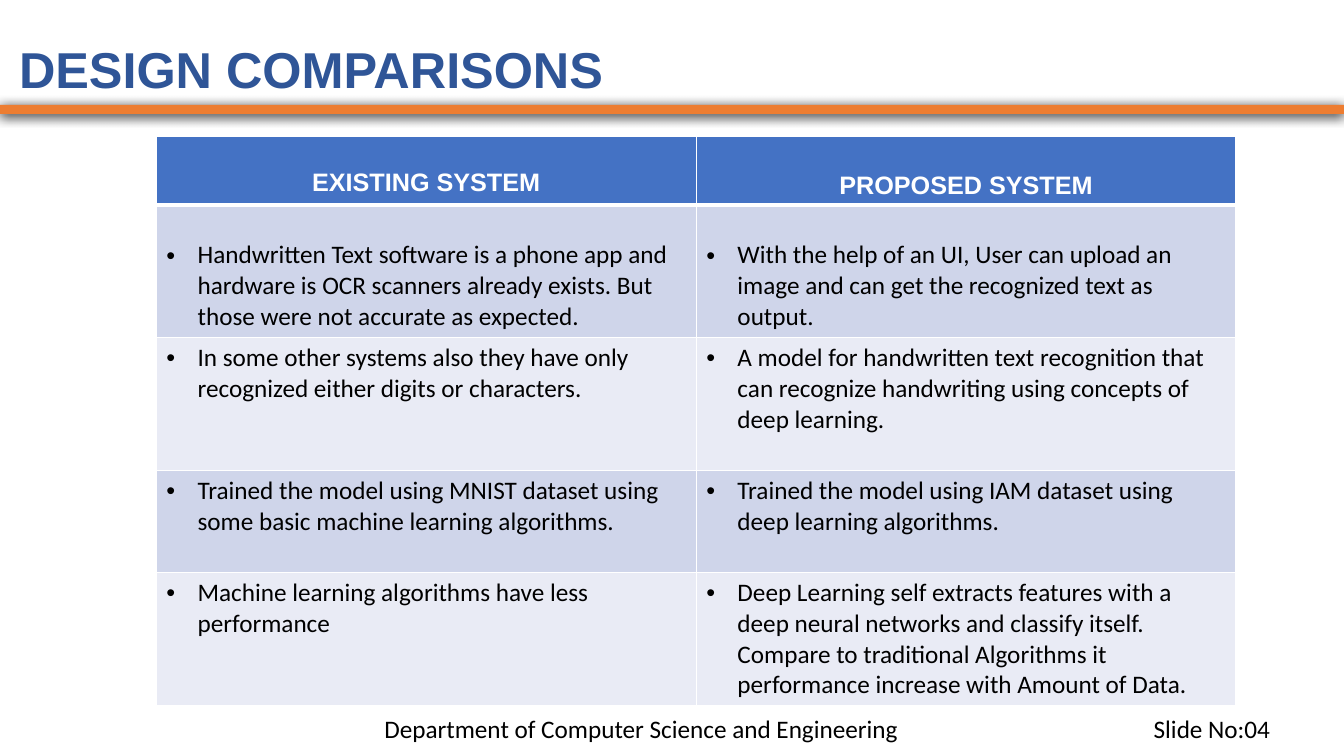
from dataclasses import dataclass

from lxml.etree import SubElement
from pptx import Presentation
from pptx.dml.color import RGBColor
from pptx.enum.shapes import MSO_SHAPE
from pptx.enum.text import MSO_ANCHOR, PP_ALIGN
from pptx.oxml import parse_xml
from pptx.oxml.ns import nsdecls, qn
from pptx.util import Inches, Pt


@dataclass
class Label:
    text: str
    left: float
    top: float
    width: float
    height: float
    size: int = 18
    font: str = "Calibri"
    color: str = "000000"
    bold: bool = False
    align: PP_ALIGN = PP_ALIGN.CENTER
    anchor: MSO_ANCHOR = MSO_ANCHOR.TOP
    spacing: float = 1.0


@dataclass
class Row:
    height: float
    fill: str
    texts: tuple[str, str]
    tops: tuple[float, float] = (0.05, 0.05)
    head: bool = False


LABELS = [
    Label("DESIGN COMPARISONS", 0.09, 0.19, 6.58, 0.85, 36, "Arial", "2F5597", True,
          PP_ALIGN.LEFT, MSO_ANCHOR.BOTTOM, 0.9),
    Label("Department of Computer Science and Engineering", 3.6, 7.03, 5.52, 0.4),
    Label("Slide No:04", 11.22, 7.03, 1.6, 0.4),
]

ROWS = [
    Row(0.68, "4472C4", ("EXISTING SYSTEM", "PROPOSED SYSTEM"), (0.32, 0.35), True),
    Row(1.32, "CFD5EA", (
        "Handwritten Text software is a phone app and hardware is OCR scanners "
        "already exists. But those were not accurate as expected.",
        "With the help of an UI, User can upload an image and can get the "
        "recognized text as output."), (0.35, 0.35)),
    Row(1.32, "E9EBF5", (
        "In some other systems also they have only recognized either digits or characters.",
        "A model for handwritten text recognition that can recognize handwriting "
        "using concepts of deep learning.")),
    Row(1.01, "CFD5EA", (
        "Trained the model using MNIST dataset using some basic machine learning algorithms.",
        "Trained the model using IAM dataset using deep learning algorithms.")),
    Row(1.32, "E9EBF5", (
        "Machine learning algorithms have less performance",
        "Deep Learning self extracts features with a deep neural networks and "
        "classify itself. Compare to traditional Algorithms it performance "
        "increase with Amount of Data.")),
]


def color(code: str) -> RGBColor:
    return RGBColor.from_string(code)


def style(para, size: int, font: str, code: str, bold: bool) -> None:
    for run in para.runs:
        run.font.size = Pt(size)
        run.font.name = font
        run.font.bold = bold
        run.font.color.rgb = color(code)


def add_label(slide, label: Label) -> None:
    box = slide.shapes.add_textbox(Inches(label.left), Inches(label.top),
                                   Inches(label.width), Inches(label.height))
    frame = box.text_frame
    frame.word_wrap = True
    frame.vertical_anchor = label.anchor
    frame.text = label.text
    para = frame.paragraphs[0]
    para.alignment = label.align
    para.line_spacing = label.spacing
    style(para, label.size, label.font, label.color, label.bold)


def add_bar(slide) -> None:
    bar = slide.shapes.add_shape(MSO_SHAPE.RECTANGLE, 0, Inches(1.04),
                                 Inches(13.33), Inches(0.09))
    bar.fill.solid()
    bar.fill.fore_color.rgb = color("ED7D31")
    bar.line.fill.background()
    bar.shadow.inherit = False
    glow = bar.element.spPr.find(qn("a:effectLst"))
    shade = SubElement(glow, qn("a:outerShdw"), blurRad=str(Pt(8.5)),
                       dist=str(Pt(1)), dir="5400000", algn="t", rotWithShape="0")
    SubElement(shade, qn("a:srgbClr"), val="000000")


def add_edges(cell, top: int, bottom: int) -> None:
    props = cell._tc.get_or_add_tcPr()
    edges = {"lnL": 1, "lnR": 1, "lnT": top, "lnB": bottom}
    for spot, (name, width) in enumerate(edges.items()):
        props.insert(spot, parse_xml(
            f'<a:{name} {nsdecls("a")} w="{Pt(width)}"><a:solidFill>'
            f'<a:srgbClr val="FFFFFF"/></a:solidFill></a:{name}>'))


def add_bullet(para) -> None:
    props = para._p.get_or_add_pPr()
    props.set("marL", str(Inches(0.31)))
    props.set("indent", str(-Inches(0.31)))
    SubElement(props, qn("a:buFont"), typeface="Arial")
    SubElement(props, qn("a:buChar"), char="•")


def fill_cell(cell, row: Row, text: str, top: float) -> None:
    cell.fill.solid()
    cell.fill.fore_color.rgb = color(row.fill)
    cell.margin_top = Inches(top)
    cell.margin_bottom = Inches(0.03)
    cell.text_frame.text = text
    para = cell.text_frame.paragraphs[0]
    if row.head:
        para.alignment = PP_ALIGN.CENTER
        style(para, 18, "Arial", "FFFFFF", True)
    else:
        para.alignment = PP_ALIGN.LEFT
        add_bullet(para)
        style(para, 18, "Calibri", "000000", False)


def add_grid(slide) -> None:
    total = sum(row.height for row in ROWS)
    grid = slide.shapes.add_table(len(ROWS), 2, Inches(1.55), Inches(1.35),
                                  Inches(10.71), Inches(total)).table
    for i, row in enumerate(ROWS):
        grid.rows[i].height = Inches(row.height)
        for j, (text, top) in enumerate(zip(row.texts, row.tops)):
            cell = grid.cell(i, j)
            fill_cell(cell, row, text, top)
            add_edges(cell, 3 if i == 1 else 1, 3 if row.head else 1)


def main() -> None:
    deck = Presentation()
    deck.slide_width = Inches(13.33)
    deck.slide_height = Inches(7.5)
    slide = deck.slides.add_slide(deck.slide_layouts[6])
    add_bar(slide)
    for label in LABELS:
        add_label(slide, label)
    add_grid(slide)
    deck.save("out.pptx")


if __name__ == "__main__":
    main()
